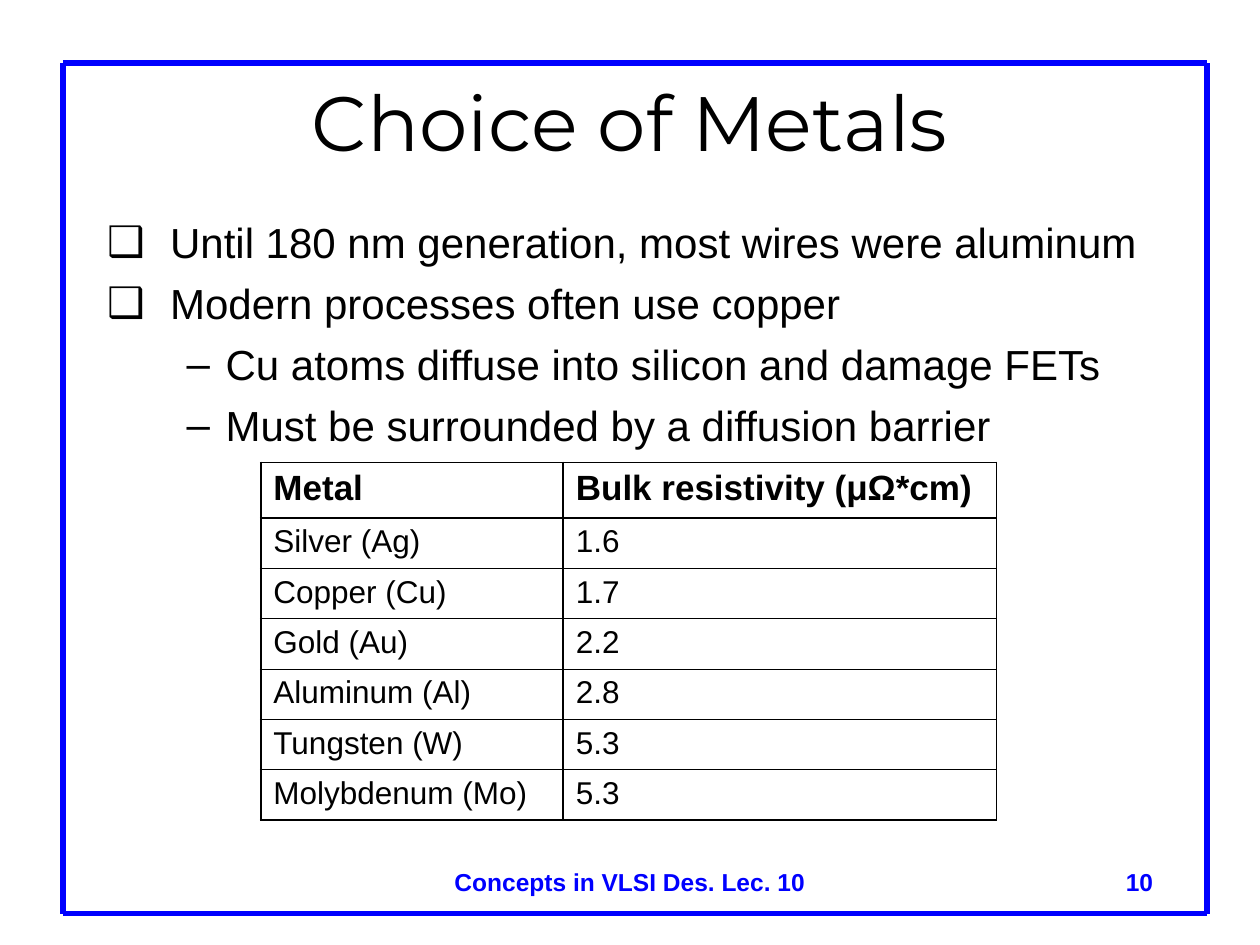
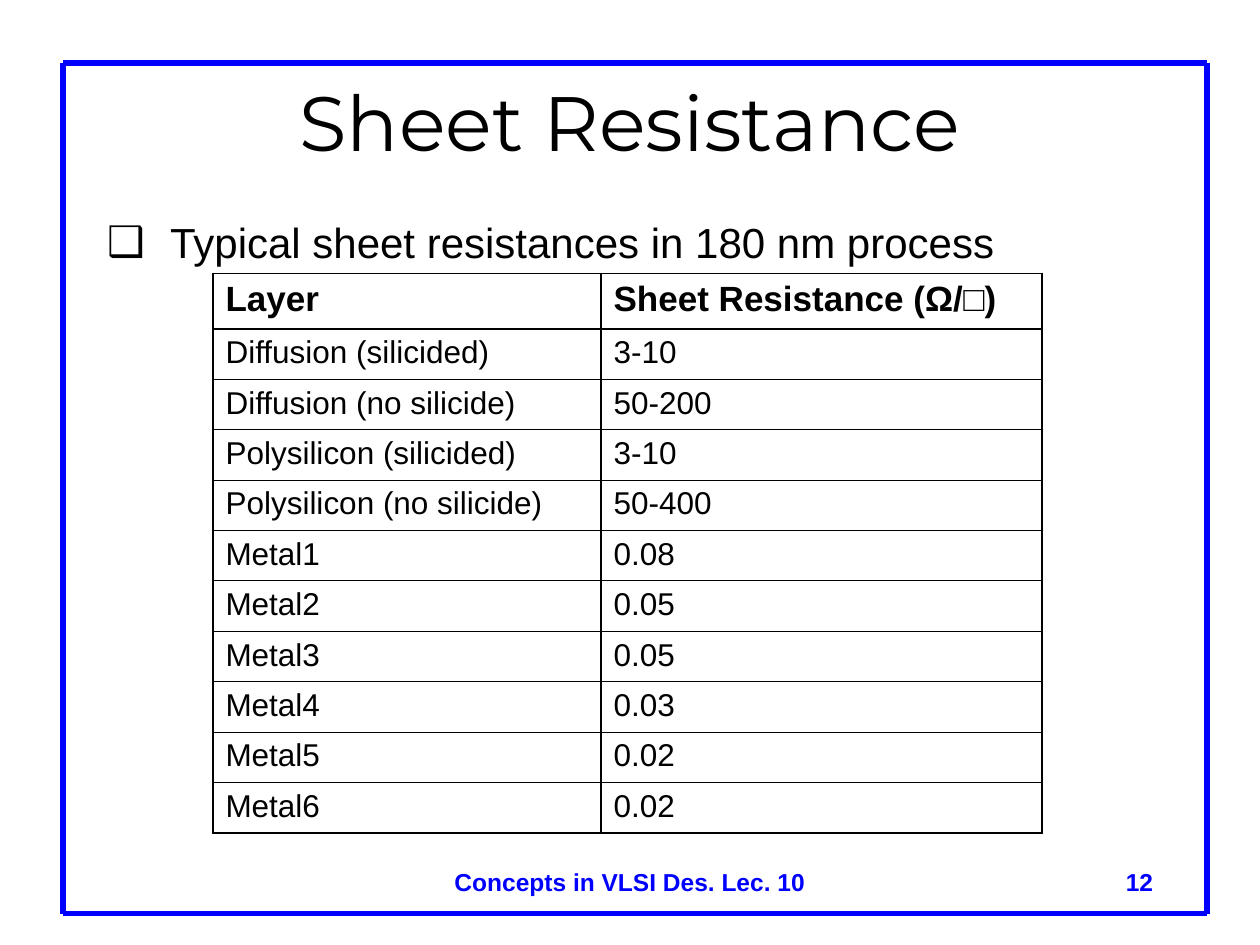
from lxml import etree
from pptx import Presentation
from pptx.dml.color import RGBColor
from pptx.enum.shapes import MSO_CONNECTOR
from pptx.enum.text import MSO_ANCHOR, MSO_AUTO_SIZE, PP_ALIGN
from pptx.oxml.ns import qn
from pptx.util import Inches, Pt

STRAIGHT = MSO_CONNECTOR.STRAIGHT
LEFT, CENTER, RIGHT = PP_ALIGN.LEFT, PP_ALIGN.CENTER, PP_ALIGN.RIGHT
MIDDLE = MSO_ANCHOR.MIDDLE
NO_FIT = MSO_AUTO_SIZE.NONE

COLORS = {"text": "000000", "accent": "0000FF"}
TITLE_FONT, BODY_FONT = "Montserrat", "Arial"
FRAME = (0.5, 0.5, 9.58, 7.25)
BULLETS = [("❑", 0.5, -0.5), ("–", 0.94, -0.31)]
HEAVY, THIN = 1.08, 0.45
HEADER_HEIGHT, ROW_HEIGHT = 0.44, 0.4
FOOTER = "Concepts in VLSI Des. Lec. 10"

METALS = [
    ("Silver (Ag)", "1.6"),
    ("Copper (Cu)", "1.7"),
    ("Gold (Au)", "2.2"),
    ("Aluminum (Al)", "2.8"),
    ("Tungsten (W)", "5.3"),
    ("Molybdenum (Mo)", "5.3"),
]
LAYERS = [
    ("Diffusion (silicided)", "3-10"),
    ("Diffusion (no silicide)", "50-200"),
    ("Polysilicon (silicided)", "3-10"),
    ("Polysilicon (no silicide)", "50-400"),
    ("Metal1", "0.08"),
    ("Metal2", "0.05"),
    ("Metal3", "0.05"),
    ("Metal4", "0.03"),
    ("Metal5", "0.02"),
    ("Metal6", "0.02"),
]


def add_run(p, text, size, font=BODY_FONT, color="text", bold=False):
    r = p.add_run()
    r.text = text
    r.font.size = Pt(size)
    r.font.name = font
    r.font.bold = bold
    r.font.color.rgb = RGBColor.from_string(COLORS[color])


def place(sp, left, top, width, height):
    sp.left, sp.top = Inches(left), Inches(top)
    sp.width, sp.height = Inches(width), Inches(height)
    tf = sp.text_frame
    tf.word_wrap = True
    tf.auto_size = NO_FIT
    return tf


def add_frame(s):
    left, top, right, bottom = FRAME
    sides = [
        (left, top, left, bottom),
        (left, top, right, top),
        (right, top, right, bottom),
        (left, bottom, right, bottom),
    ]
    for side in sides:
        line = s.shapes.add_connector(STRAIGHT, *map(Inches, side))
        line.line.color.rgb = RGBColor.from_string(COLORS["accent"])
        line.line.width = Pt(3)
        etree.SubElement(line._element.spPr, qn("a:effectLst"))


def set_title(s, text):
    tf = place(s.shapes.title, 0.75, 0.58, 8.5, 0.75)
    tf.vertical_anchor = MIDDLE
    p = tf.paragraphs[0]
    p.alignment = CENTER
    add_run(p, text, 44, TITLE_FONT)


def set_bullet(p, level):
    char, margin, indent = BULLETS[level]
    p.level = level
    pPr = p._p.get_or_add_pPr()
    pPr.set("marL", str(Inches(margin)))
    pPr.set("indent", str(Inches(indent)))
    color = etree.SubElement(pPr, qn("a:buClr"))
    etree.SubElement(color, qn("a:srgbClr"), val=COLORS["text"])
    etree.SubElement(pPr, qn("a:buChar"), char=char)


def set_body(s, items):
    tf = place(s.placeholders[1], 0.75, 1.67, 8.5, 5)
    for i, (level, text) in enumerate(items):
        p = tf.add_paragraph() if i else tf.paragraphs[0]
        set_bullet(p, level)
        p.space_before = Pt(6 if i else 0)
        p.alignment = LEFT
        add_run(p, text, 24)


def set_borders(cell, top, bottom):
    tcPr = cell._tc.get_or_add_tcPr()
    widths = {"lnL": HEAVY, "lnR": HEAVY, "lnT": top, "lnB": bottom}
    for tag, width in widths.items():
        ln = etree.SubElement(tcPr, qn(f"a:{tag}"), w=str(Pt(width)))
        fill = etree.SubElement(ln, qn("a:solidFill"))
        etree.SubElement(fill, qn("a:srgbClr"), val=COLORS["text"])
    cell.fill.background()


def add_data_table(s, left, top, widths, header, rows):
    count = len(rows) + 1
    height = HEADER_HEIGHT + ROW_HEIGHT * len(rows)
    frame = s.shapes.add_table(count, len(widths), Inches(left), Inches(top),
                               Inches(sum(widths)), Inches(height))
    table = frame.table
    table.first_row = table.horz_banding = False
    for column, width in zip(table.columns, widths):
        column.width = Inches(width)
    for i, values in enumerate([header, *rows]):
        is_header = i == 0
        table.rows[i].height = Inches(HEADER_HEIGHT if is_header else ROW_HEIGHT)
        for j, value in enumerate(values):
            cell = table.cell(i, j)
            set_borders(cell, HEAVY if i <= 1 else THIN,
                        HEAVY if i in (0, count - 1) else THIN)
            p = cell.text_frame.paragraphs[0]
            for part in value.replace("□", "|□|").split("|"):
                add_run(p, part, 20 if is_header else 18,
                        bold=is_header and part != "□")


def add_footer_text(s, text, left, width, alignment):
    box = s.shapes.add_textbox(0, 0, 0, 0)
    p = place(box, left, 6.83, width, 0.5).paragraphs[0]
    p.alignment = alignment
    add_run(p, text, 14, color="accent", bold=True)


def add_slide(prs, title, items, number):
    s = prs.slides.add_slide(prs.slide_layouts[1])
    add_frame(s)
    set_title(s, title)
    set_body(s, items)
    add_footer_text(s, FOOTER, 0.75, 8.5, CENTER)
    add_footer_text(s, number, 7.17, 2.08, RIGHT)
    return s


def main():
    prs = Presentation()
    prs.slide_width, prs.slide_height = Inches(10), Inches(7.5)

    metals = add_slide(prs, "Choice of Metals", [
        (0, "Until 180 nm generation, most wires were aluminum"),
        (0, "Modern processes often use copper"),
        (1, "Cu atoms diffuse into silicon and damage FETs"),
        (1, "Must be surrounded by a diffusion barrier"),
    ], "10")
    add_data_table(metals, 2.07, 3.67, (2.4, 3.44),
                   ("Metal", "Bulk resistivity (μΩ*cm)"), METALS)

    sheets = add_slide(prs, "Sheet Resistance", [
        (0, "Typical sheet resistances in 180 nm process"),
    ], "12")
    add_data_table(sheets, 1.69, 2.17, (3.08, 3.5),
                   ("Layer", "Sheet Resistance (Ω/□)"), LAYERS)

    prs.save("out.pptx")


if __name__ == "__main__":
    main()
